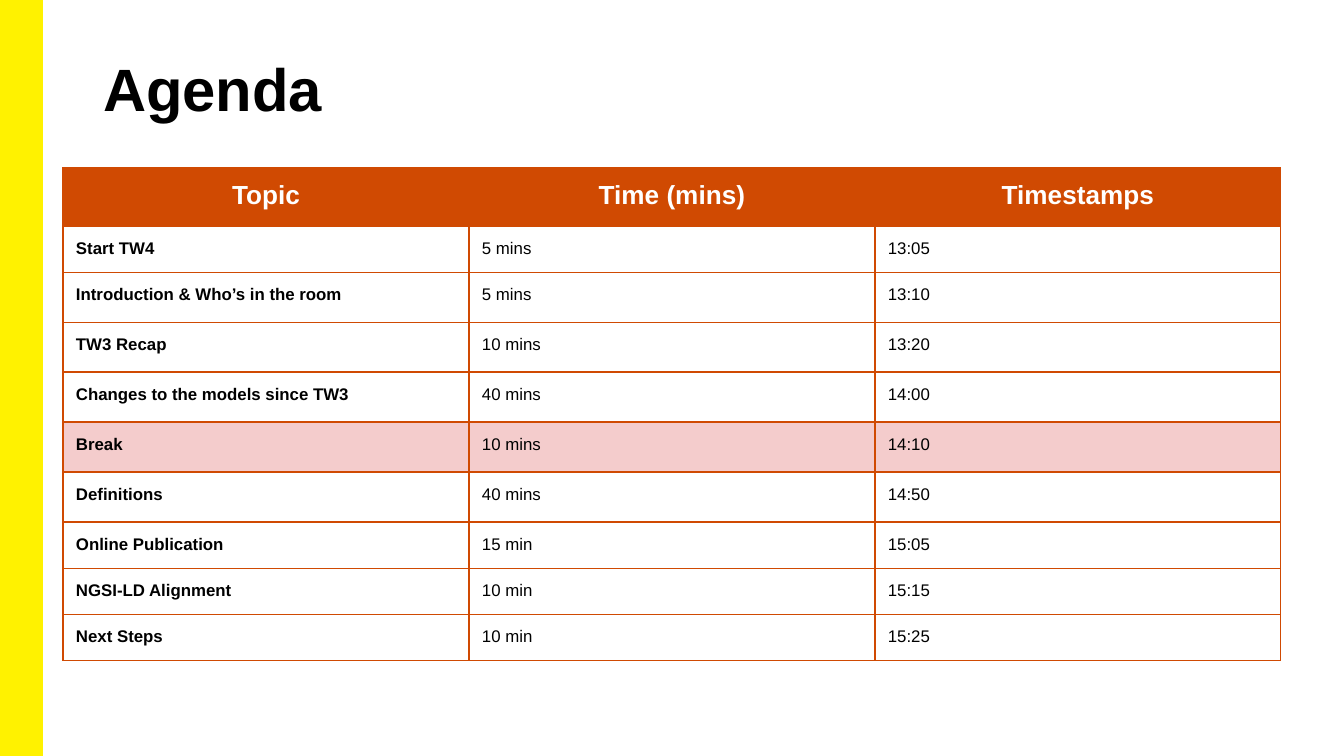
import pptx
import pptx.dml.color
import pptx.enum.shapes
import pptx.enum.text
import pptx.oxml
import pptx.oxml.ns
import pptx.util

PAGE_WIDTH, PAGE_HEIGHT = 1344, 756
EMU_PER_PX = 9144000 / PAGE_WIDTH
FONT = "Arial"
BLACK, WHITE = "000000", "FFFFFF"
YELLOW, ORANGE, PINK = "FFF200", "D04A02", "F4CCCC"

HEADINGS = ("Topic", "Time (mins)", "Timestamps")
AGENDA = (
    ("Start TW4", "5 mins", "13:05"),
    ("Introduction & Who’s in the room", "5 mins", "13:10"),
    ("TW3 Recap", "10 mins", "13:20"),
    ("Changes to the models since TW3", "40 mins", "14:00"),
    ("Break", "10 mins", "14:10"),
    ("Definitions", "40 mins", "14:50"),
    ("Online Publication", "15 min", "15:05"),
    ("NGSI-LD Alignment", "10 min", "15:15"),
    ("Next Steps", "10 min", "15:25"),
)
ROW_HEIGHTS = [58, 46] + [50] * 5 + [46] * 3
COLUMN_WIDTH = 406
CELL_MARGIN = 13


def px(length):
    return pptx.util.Emu(round(length * EMU_PER_PX))


def color(value):
    return pptx.dml.color.RGBColor.from_string(value)


def set_values(target, values):
    for name, value in values.items():
        setattr(target, name, value)


def write(frame, text, size, ink, bold, align="LEFT"):
    para = frame.paragraphs[0]
    para.alignment = getattr(pptx.enum.text.PP_ALIGN, align)
    span = para.add_run()
    span.text = text
    set_values(span.font, {"name": FONT, "size": pptx.util.Pt(size), "bold": bold})
    span.font.color.rgb = color(ink)


def add_side_band(page):
    band = page.shapes.add_shape(
        pptx.enum.shapes.MSO_SHAPE.RECTANGLE, 0, 0, px(42), px(PAGE_HEIGHT))
    band.shadow.inherit = False
    band.fill.solid()
    band.fill.fore_color.rgb = color(YELLOW)
    band.line.color.rgb = color(YELLOW)
    band.line.width = pptx.util.Pt(1)


def add_title(page, text):
    box = page.shapes.add_textbox(px(93), px(40), px(1158), px(109))
    set_values(box.text_frame, {
        "word_wrap": True,
        "margin_left": px(10), "margin_right": px(10),
        "margin_top": px(12), "margin_bottom": px(5),
    })
    write(box.text_frame, text, 32, BLACK, True)


def add_borders(cell):
    properties = cell._tc.get_or_add_tcPr()
    for side in ("lnL", "lnR", "lnT", "lnB"):
        properties.append(pptx.oxml.parse_xml(
            f'<a:{side} {pptx.oxml.ns.nsdecls("a")} w="{pptx.util.Pt(0.75)}">'
            f'<a:solidFill><a:srgbClr val="{ORANGE}"/></a:solidFill></a:{side}>'))


def format_cell(cell, fill):
    """Set margins, borders and fill; no fill leaves the cell clear."""
    for side in ("left", "right", "top", "bottom"):
        setattr(cell, f"margin_{side}", px(CELL_MARGIN))
    add_borders(cell)
    if fill:
        cell.fill.solid()
        cell.fill.fore_color.rgb = color(fill)
    else:
        cell.fill.background()


def add_agenda_table(page):
    columns = len(HEADINGS)
    table = page.shapes.add_table(
        len(ROW_HEIGHTS), columns, px(63), px(168),
        px(COLUMN_WIDTH * columns), px(sum(ROW_HEIGHTS))).table
    set_values(table, {"first_row": False, "horz_banding": False})
    for column in table.columns:
        column.width = px(COLUMN_WIDTH)
    for row, height in zip(table.rows, ROW_HEIGHTS):
        row.height = px(height)

    for index, heading in enumerate(HEADINGS):
        cell = table.cell(0, index)
        format_cell(cell, ORANGE)
        write(cell.text_frame, heading, 14, WHITE, True, "CENTER")
    for row_index, entry in enumerate(AGENDA, 1):
        fill = PINK if entry[0] == "Break" else None
        for index, text in enumerate(entry):
            cell = table.cell(row_index, index)
            format_cell(cell, fill)
            write(cell.text_frame, text, 9, BLACK, index == 0)


def main():
    deck = pptx.Presentation()
    set_values(deck, {"slide_width": px(PAGE_WIDTH), "slide_height": px(PAGE_HEIGHT)})
    page = deck.slides.add_slide(deck.slide_layouts[6])
    add_side_band(page)
    add_title(page, "Agenda")
    add_agenda_table(page)
    deck.save("out.pptx")


if __name__ == "__main__":
    main()
